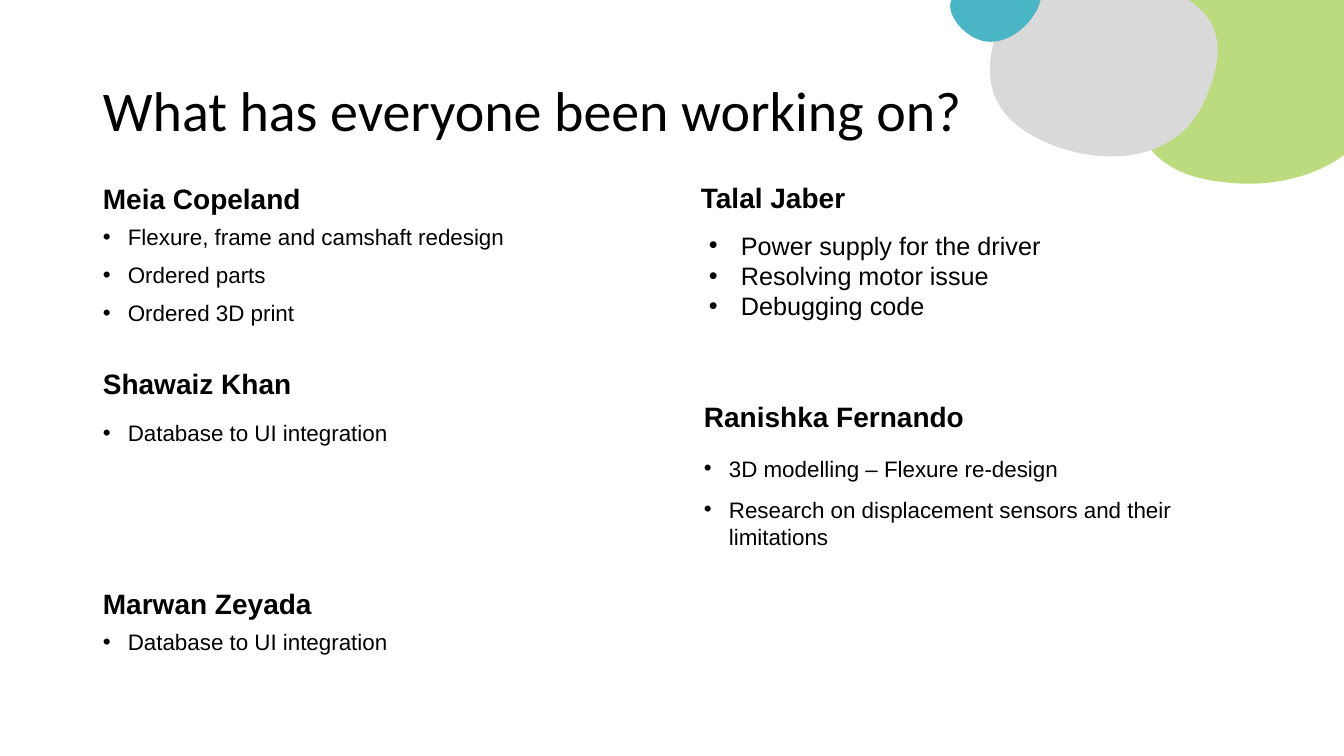
from math import cos, radians, sin

from lxml import etree
from pptx import Presentation
from pptx.dml.color import RGBColor
from pptx.enum.text import MSO_ANCHOR, MSO_AUTO_SIZE
from pptx.oxml.ns import qn
from pptx.util import Emu, Pt

TOP, MIDDLE, BOTTOM = MSO_ANCHOR.TOP, MSO_ANCHOR.MIDDLE, MSO_ANCHOR.BOTTOM
FIXED, GROW = MSO_AUTO_SIZE.NONE, MSO_AUTO_SIZE.SHAPE_TO_FIT_TEXT
BLACK = RGBColor(0x00, 0x00, 0x00)
GREEN = RGBColor(0xBB, 0xDB, 0x7E)
GREY = RGBColor(0xD9, 0xD9, 0xD9)
TEAL = RGBColor(0x4A, 0xB5, 0xC4)

EMU_PER_PX = 914400 / 100.8
BLOB_TURN = 173.7
NAME_SIZE = (569, 60)
TITLE = "What has everyone been working on?"
TITLE_BOX = (93, 40, 1159, 146)

TASK_STYLE = dict(size=16, spacing=0.9, before=10, indent=25)
MEMBERS = [
    ("Meia Copeland", (93, 161), (93, 221, 569, 183),
     ["Flexure, frame and camshaft redesign", "Ordered parts", "Ordered 3D print"], {}),
    ("Shawaiz Khan", (93, 346), (93, 417, 569, 127),
     ["Database to UI integration"], {}),
    ("Marwan Zeyada", (93, 566), (93, 626, 569, 127),
     ["Database to UI integration"], {}),
    ("Talal Jaber", (691, 160), (699, 225, 578, 132),
     ["Power supply for the driver", "Resolving motor issue", "Debugging code"],
     dict(size=18, spacing=1.0, before=0, indent=32, fit=GROW)),
    ("Ranishka Fernando", (694, 379), (694, 450, 545, 197),
     ["3D modelling – Flexure re-design",
      "Research on displacement sensors and their limitations"],
     dict(spacing=1.0)),
]

BLOBS = [
    (GREEN, (1129, -35, 262, 219), (1321, -32), [
        ((1247, -47), (1140, -23), (1132, 52)),
        ((1123, 128), (1147, 174), (1223, 182)),
        ((1299, 192), (1378, 157), (1387, 82)),
        ((1395, 6), (1371, -22), (1321, -32))]),
    (GREY, (989, -33, 230, 192), (1180, -5), [
        ((1125, -38), (1032, -47), (1005, 11)),
        ((978, 70), (985, 114), (1043, 141)),
        ((1102, 168), (1175, 162), (1203, 104)),
        ((1230, 45), (1218, 16), (1180, -5))]),
    (TEAL, (951, -20, 93, 61), (951, 1), [
        ((946, 14), (963, 36), (983, 41)),
        ((1017, 48), (1047, 5), (1040, -9)),
        ((1032, -27), (958, -22), (951, 1))]),
]


def px(length):
    return Emu(round(length * EMU_PER_PX))


def turn_back(point, box):
    left, top, width, height = box
    dx, dy = point[0] - left - width / 2, point[1] - top - height / 2
    c, s = cos(radians(BLOB_TURN)), sin(radians(BLOB_TURN))
    return px(width / 2 + dx * c + dy * s), px(height / 2 - dx * s + dy * c)


def add_blob(slide, color, box, start, curves):
    left, top, width, height = map(px, box)
    builder = slide.shapes.build_freeform(left, top)
    builder.add_line_segments([(left + width, top), (left + width, top + height)])
    blob = builder.convert_to_shape()
    outline = blob._element.find(".//" + qn("a:path"))
    for segment in list(outline):
        outline.remove(segment)
    for tag, points in [("a:moveTo", [start])] + [("a:cubicBezTo", c) for c in curves]:
        segment = etree.SubElement(outline, qn(tag))
        for point in points:
            x, y = turn_back(point, box)
            etree.SubElement(segment, qn("a:pt"), x=str(x), y=str(y))
    etree.SubElement(outline, qn("a:close"))
    blob.rotation = BLOB_TURN
    blob.shadow.inherit = False
    blob.fill.solid()
    blob.fill.fore_color.rgb = color
    blob.line.fill.background()


def add_text(slide, lines, box, size, font="Arial", bold=False, anchor=TOP,
             spacing=0.9, before=0, indent=0, fit=FIXED):
    frame = slide.shapes.add_textbox(*map(px, box)).text_frame
    frame.word_wrap = True
    frame.auto_size = fit
    frame.vertical_anchor = anchor
    for index, line in enumerate(lines):
        paragraph = frame.add_paragraph() if index else frame.paragraphs[0]
        paragraph.line_spacing = spacing
        paragraph.space_before = Pt(before)
        run = paragraph.add_run()
        run.text = line
        run.font.name = font
        run.font.size = Pt(size)
        run.font.bold = bold
        run.font.color.rgb = BLACK
        if indent:
            properties = paragraph._p.get_or_add_pPr()
            properties.set("marL", str(px(indent)))
            properties.set("indent", str(-px(indent)))
            etree.SubElement(properties, qn("a:buFont")).set("typeface", "Arial")
            etree.SubElement(properties, qn("a:buChar")).set("char", "•")


def main():
    deck = Presentation()
    deck.slide_width, deck.slide_height = px(1344), px(756)
    slide = deck.slides.add_slide(deck.slide_layouts[6])
    for color, box, start, curves in BLOBS:
        add_blob(slide, color, box, start, curves)
    add_text(slide, [TITLE], TITLE_BOX, size=40, font="Calibri", anchor=MIDDLE)
    for name, name_corner, task_box, tasks, task_changes in MEMBERS:
        add_text(slide, [name], name_corner + NAME_SIZE, size=20, bold=True,
                 anchor=BOTTOM, before=10)
        add_text(slide, tasks, task_box, **{**TASK_STYLE, **task_changes})
    deck.save("out.pptx")


if __name__ == "__main__":
    main()
